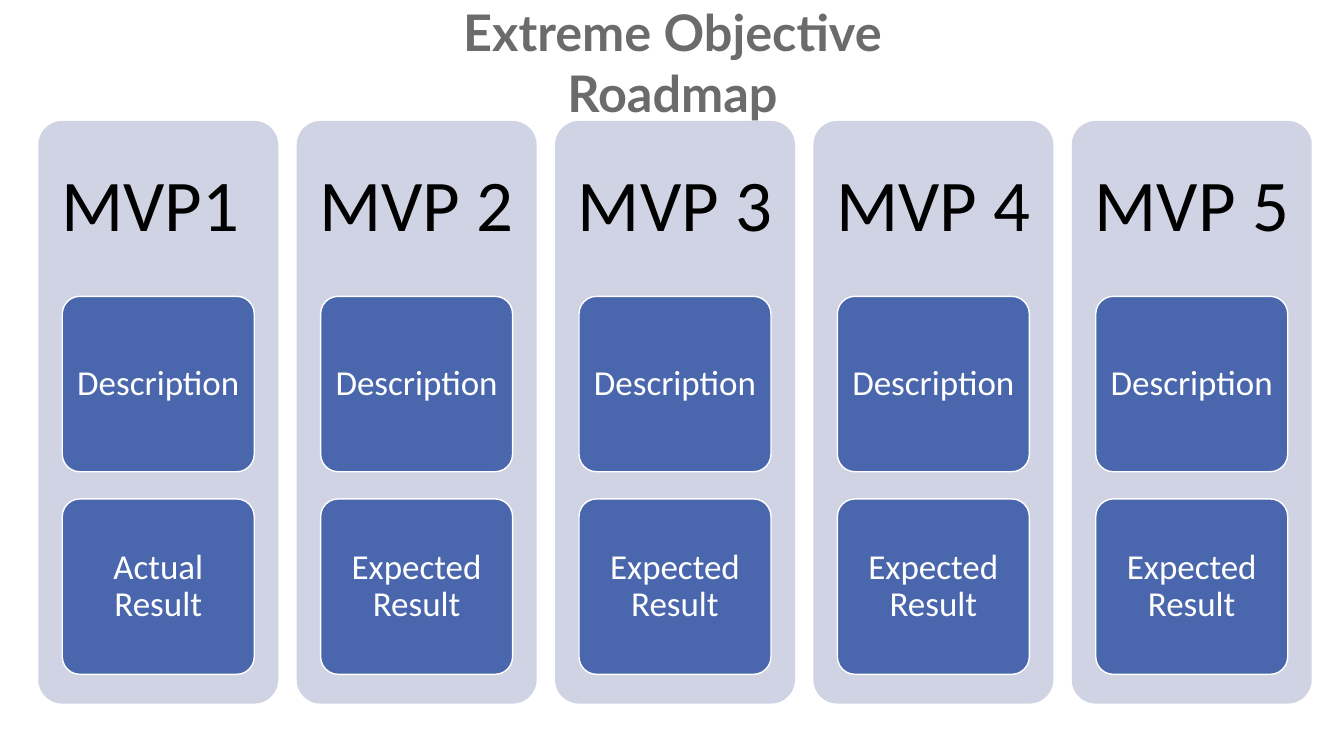
from pptx import Presentation
from pptx.dml.color import RGBColor
from pptx.enum.shapes import MSO_SHAPE
from pptx.enum.text import MSO_ANCHOR, PP_ALIGN
from pptx.util import Inches, Pt

TITLE = "Extreme Objective Roadmap"
STAGES = [
    ("MVP1 ", ["Description", "Actual Result"]),
    ("MVP 2 ", ["Description", "Expected Result"]),
    ("MVP 3", ["Description", "Expected Result"]),
    ("MVP 4 ", ["Description", "Expected Result"]),
    ("MVP 5", ["Description", "Expected Result"]),
]
COLORS = {"title": "6B6B6B", "column": "D0D3E3", "card": "4A66AC",
          "heading": "000000", "white": "FFFFFF"}

LEFT, TOP = 0.38, 1.2
COLUMN_WIDTH, COLUMN_HEIGHT, COLUMN_STEP = 2.38, 5.78, 2.5625
HEADING_HEIGHT = 0.3 * COLUMN_HEIGHT
CARD_WIDTH, CARD_HEIGHT = 0.8 * COLUMN_WIDTH, 1.74
CARD_INDENT = (COLUMN_WIDTH - CARD_WIDTH) / 2
CARD_TOP, CARD_STEP = 2.94, 2.01


def color(name):
    return RGBColor.from_string(COLORS[name])


def write(box, text, size, font, tint, margins=(0, 0), bold=False, spacing=1.0):
    frame = box.text_frame
    frame.word_wrap = True
    frame.vertical_anchor = MSO_ANCHOR.MIDDLE
    frame.margin_left = frame.margin_right = Inches(margins[0])
    frame.margin_top = frame.margin_bottom = Inches(margins[1])
    para = frame.paragraphs[0]
    para.alignment = PP_ALIGN.CENTER
    para.line_spacing = spacing
    span = para.add_run()
    span.text = text
    span.font.size = Pt(size)
    span.font.name = font
    span.font.bold = bold
    span.font.color.rgb = color(tint)


def add_text(page, area, *args, **options):
    box = page.shapes.add_textbox(*map(Inches, area))
    write(box, *args, **options)


def add_panel(page, area, fill):
    panel = page.shapes.add_shape(MSO_SHAPE.ROUNDED_RECTANGLE, *map(Inches, area))
    panel.adjustments[0] = 0.1
    panel.shadow.inherit = False
    panel.fill.solid()
    panel.fill.fore_color.rgb = color(fill)
    panel.line.fill.background()
    return panel


def add_card(page, area, text):
    card = add_panel(page, area, "card")
    card.line.color.rgb = color("white")
    card.line.width = Pt(1)
    write(card, text, 25, "Calibri", "white", margins=(0.07, 0.05), spacing=0.9)


def add_stage(page, left, heading, cards):
    add_panel(page, (left, TOP, COLUMN_WIDTH, COLUMN_HEIGHT), "column")
    add_text(page, (left, TOP, COLUMN_WIDTH, HEADING_HEIGHT), heading,
             52, "Calibri", "heading", margins=(0.22, 0.22), spacing=0.9)
    for row, text in enumerate(cards):
        top = CARD_TOP + row * CARD_STEP
        add_card(page, (left + CARD_INDENT, top, CARD_WIDTH, CARD_HEIGHT), text)


def main():
    deck = Presentation()
    deck.slide_width, deck.slide_height = Inches(13.33), Inches(7.5)
    page = deck.slides.add_slide(deck.slide_layouts[6])
    add_text(page, (3.57, 0.31, 6.2, 0.61), TITLE, 36, "Lato", "title", bold=True)
    for column, (heading, cards) in enumerate(STAGES):
        add_stage(page, LEFT + column * COLUMN_STEP, heading, cards)
    deck.save("out.pptx")


if __name__ == "__main__":
    main()
